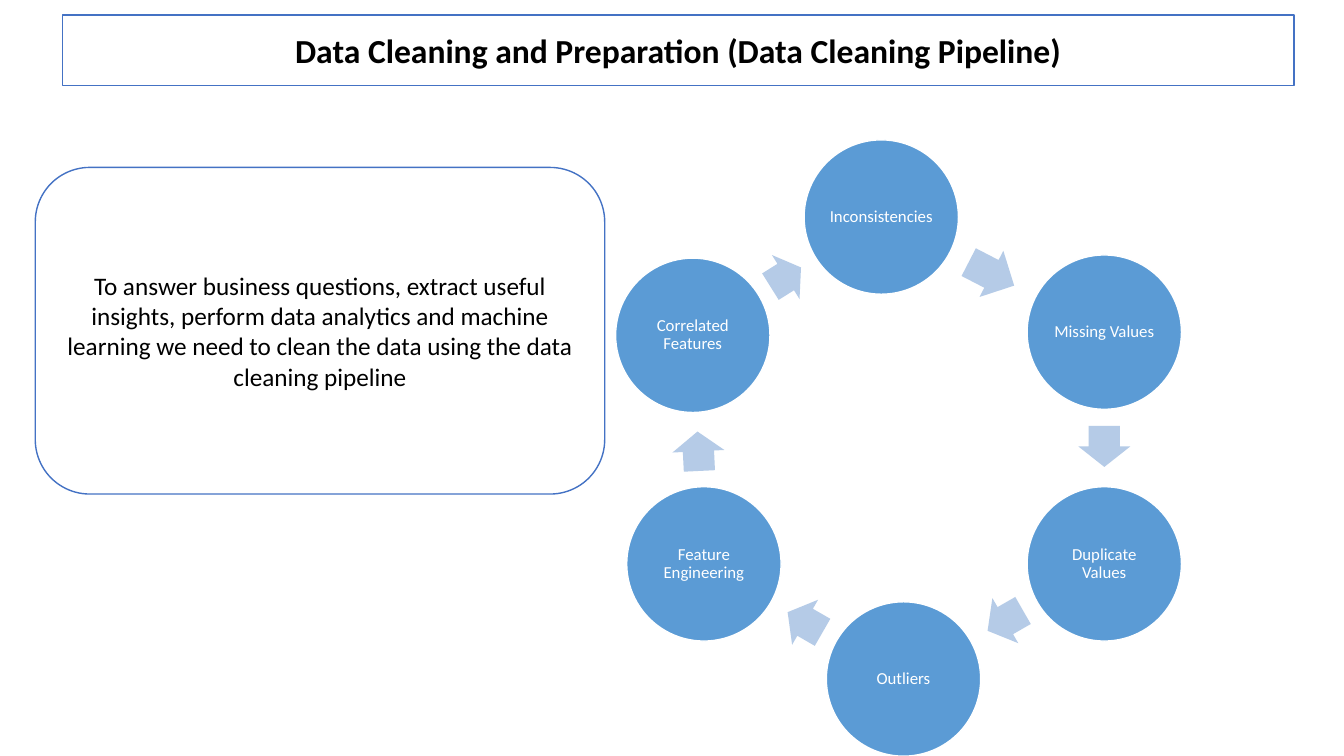
from math import atan2, degrees, hypot

from pptx import Presentation
from pptx.dml.color import RGBColor
from pptx.enum.shapes import MSO_SHAPE
from pptx.enum.text import MSO_ANCHOR, MSO_AUTO_SIZE, PP_ALIGN
from pptx.util import Cm, Pt

CIRCLE, ARROW = MSO_SHAPE.OVAL, MSO_SHAPE.RIGHT_ARROW
ROUNDED = MSO_SHAPE.ROUNDED_RECTANGLE
MIDDLE, CENTER, NO_AUTOFIT = MSO_ANCHOR.MIDDLE, PP_ALIGN.CENTER, MSO_AUTO_SIZE.NONE
TITLE_ONLY = 5

# Cycle geometry in centimetres
DIAMETER = 3.89
ARROW_HEIGHT = 1.31
ARROW_SHARE = 0.53  # part of the gap between two circles
ARROW_SHIFT = 0.04  # towards the circle the arrow leaves

# Pipeline steps with the centre of each circle
STEPS = [
    ("Inconsistencies", 22.21, 5.47),
    ("Missing Values", 27.83, 8.37),
    ("Duplicate Values", 27.83, 14.21),
    ("Outliers", 22.77, 17.11),
    ("Feature Engineering", 17.74, 14.21),
    ("Correlated Features", 17.46, 8.45),
]


def color(hex_value):
    return RGBColor.from_string(hex_value)


class PipelineSlide:
    FONT = "Calibri"
    BLACK, WHITE = "000000", "FFFFFF"
    OUTLINE, STEP_FILL, ARROW_FILL = "4472C4", "5B9BD5", "B5CBE7"

    def __init__(self, presentation):
        layout = presentation.slide_layouts[TITLE_ONLY]
        self.slide = presentation.slides.add_slide(layout)

    def paint(self, shape, fill, line=None):
        shape.fill.solid()
        shape.fill.fore_color.rgb = color(fill)
        if line:
            shape.line.color.rgb = color(line)
            shape.line.width = Pt(1)
        else:
            shape.line.fill.background()

    def set_text(self, shape, text, size, font_color, bold=False, **spacing):
        frame = shape.text_frame
        frame.text = text
        frame.word_wrap = True
        frame.auto_size = NO_AUTOFIT
        frame.vertical_anchor = MIDDLE
        paragraph = frame.paragraphs[0]
        for name, value in {"alignment": CENTER, **spacing}.items():
            setattr(paragraph, name, value)
        style = {"name": self.FONT, "size": Pt(size), "bold": bold}
        for name, value in style.items():
            setattr(paragraph.font, name, value)
        paragraph.font.color.rgb = color(font_color)

    def add_shape(self, kind, left, top, width, height, fill, line=None):
        shape = self.slide.shapes.add_shape(
            kind, Cm(left), Cm(top), Cm(width), Cm(height))
        shape.shadow.inherit = False
        self.paint(shape, fill, line)
        return shape

    def title(self, text):
        shape = self.slide.shapes.title
        place = {"left": 1.57, "top": 0.38, "width": 31.04, "height": 1.78}
        for name, value in place.items():
            setattr(shape, name, Cm(value))
        self.paint(shape, self.WHITE, self.OUTLINE)
        self.set_text(shape, text, 24, self.BLACK, bold=True)

    def message(self, text, left, top, width, height):
        shape = self.add_shape(
            ROUNDED, left, top, width, height, self.WHITE, self.OUTLINE)
        self.set_text(shape, text, 18, self.BLACK)

    def step(self, text, x, y):
        shape = self.add_shape(
            CIRCLE, x - DIAMETER / 2, y - DIAMETER / 2, DIAMETER, DIAMETER,
            self.STEP_FILL, self.WHITE)
        for side in ("left", "right", "top", "bottom"):
            setattr(shape.text_frame, f"margin_{side}", Cm(0.05))
        self.set_text(shape, text, 12, self.WHITE,
                      line_spacing=0.9, space_after=Pt(4.2))

    def arrow(self, start, end):
        (x1, y1), (x2, y2) = start, end
        distance = hypot(x2 - x1, y2 - y1)
        length = ARROW_SHARE * (distance - DIAMETER)
        position = 0.5 - ARROW_SHIFT / distance
        x = x1 + (x2 - x1) * position
        y = y1 + (y2 - y1) * position
        shape = self.add_shape(
            ARROW, x - length / 2, y - ARROW_HEIGHT / 2, length, ARROW_HEIGHT,
            self.ARROW_FILL)
        shape.adjustments[0] = 0.6
        shape.adjustments[1] = 0.5
        shape.rotation = degrees(atan2(y2 - y1, x2 - x1)) % 360


def main():
    presentation = Presentation()
    presentation.slide_width = Cm(33.87)
    presentation.slide_height = Cm(19.05)
    page = PipelineSlide(presentation)

    # Title
    page.title("Data Cleaning and Preparation (Data Cleaning Pipeline)")

    # Cycle: each circle is followed by an arrow to the next one
    for (text, x, y), (_, next_x, next_y) in zip(STEPS, STEPS[1:] + STEPS[:1]):
        page.step(text, x, y)
        page.arrow((x, y), (next_x, next_y))

    # Purpose of the pipeline
    page.message(
        "To answer business questions, extract useful insights, perform data "
        "analytics and machine learning we need to clean the data using the "
        "data cleaning pipeline", 0.89, 4.22, 14.35, 8.23)

    presentation.save("out.pptx")


if __name__ == "__main__":
    main()
